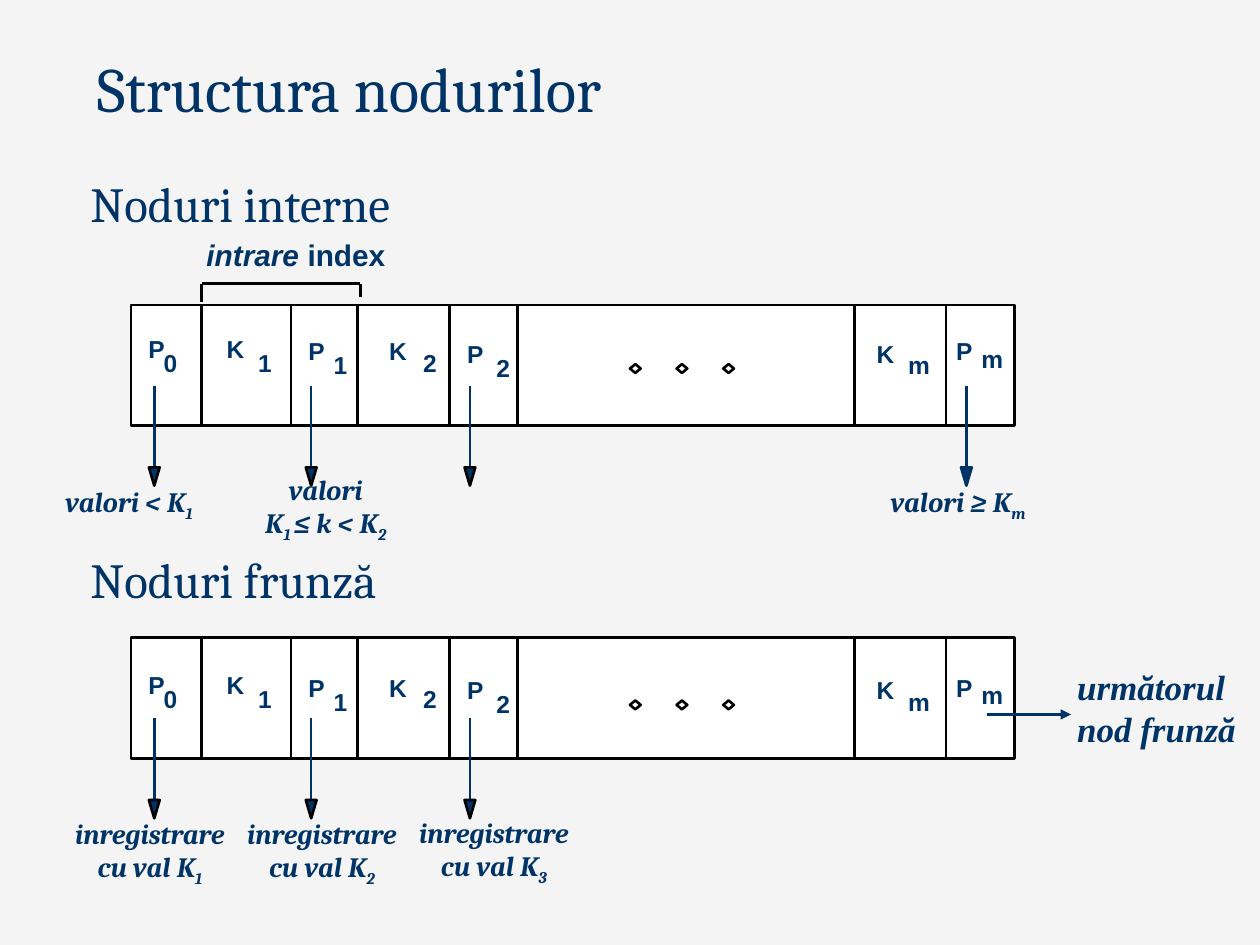
from pptx import Presentation
from pptx.dml.color import RGBColor
from pptx.enum import shapes, text
from pptx.oxml.ns import qn
from pptx.util import Inches, Pt
from lxml import etree

COLORS = {"background": "F4F4F4", "navy": "003366", "black": "000000", "white": "FFFFFF"}

# The slide is a grid of 100 columns by 75 rows; all lengths are in grid units
WIDTH, HEIGHT = Inches(10), Inches(7.5)
COLUMN, ROW = WIDTH / 100, HEIGHT / 75

# Node geometry, relative to the node's top left corner
NODE_SIZE = (70.1, 9.6)
CELLS = [(5.6, 7.1), (18, 7.3), (57.4, 7.3), (25.3, 5.4)]  # left, width
DOTS = [39.6, 43.3, 47]
POINTERS = {"P0": 1.85, "P1": 14.3, "P2": 26.9, "Pm": 66.3}
# letter, left, top, index, left, top
ENTRIES = [
    ("P", 0.4, 1.8, "0", 1.6, 2.9),
    ("K", 6.6, 1.8, "1", 9.1, 2.9),
    ("P", 13.1, 2, "1", 15.1, 3.1),
    ("K", 19.5, 2, "2", 22.2, 2.9),
    ("P", 25.7, 2.2, "2", 28, 3.3),
    ("K", 58.2, 2.2, "m", 60.7, 3.1),
    ("P", 64.5, 2, "m", 66.5, 2.6),
]
LETTER_WIDTH = {"P": 3.3, "K": 3.4, "m": 3.8}


def color(name):
    return RGBColor.from_string(COLORS[name])


def place(left, top, width, height):
    return [round(v) for v in (left * COLUMN, top * ROW, width * COLUMN, height * ROW)]


def add_text(slide, box, pieces, size, font="Cambria", bold=False, italic=False,
             wrap=False, center=False, grow=True):
    """Write pieces as one paragraph; every second piece is a subscript."""
    frame = slide.shapes.add_textbox(*place(*box)).text_frame
    frame.word_wrap = wrap
    if grow:
        frame.auto_size = text.MSO_AUTO_SIZE.SHAPE_TO_FIT_TEXT
    paragraph = frame.paragraphs[0]
    paragraph.text = pieces[0]
    for number, piece in enumerate(pieces[1:], 1):
        run = paragraph.add_run()
        run.text = piece
        if number % 2:
            run.font._element.set("baseline", "-25000")
    for run in paragraph.runs:
        run.font.name, run.font.size = font, Pt(size)
        run.font.bold, run.font.italic = bold, italic
        run.font.color.rgb = color("navy")
    if center:
        paragraph.alignment = text.PP_ALIGN.CENTER
    return frame


def add_shape(slide, kind, box, fill=None, line="black"):
    shape = slide.shapes.add_shape(kind, *place(*box))
    shape.shadow.inherit = False
    if fill:
        shape.fill.solid()
        shape.fill.fore_color.rgb = color(fill)
    else:
        shape.fill.background()
    shape.line.color.rgb, shape.line.width = color(line), Pt(1.5)


def add_line(slide, x1, y1, x2, y2, line="black", arrow=False):
    connector = slide.shapes.add_connector(
        shapes.MSO_CONNECTOR.STRAIGHT, *place(x1, y1, x2, y2))
    connector.line.color.rgb, connector.line.width = color(line), Pt(1.5)
    if arrow:
        etree.SubElement(connector.line._get_or_add_ln(), qn("a:tailEnd"), type="triangle")
    etree.SubElement(connector._element.spPr, qn("a:effectLst"))


def draw_node(slide, left, top, pointers, drop=0):
    """Draw a node with its cells and pointers; drop lowers the cell contents."""
    width, height = NODE_SIZE
    rectangle = shapes.MSO_SHAPE.RECTANGLE
    add_shape(slide, rectangle, (left, top, width, height), "white")
    for x, cell_width in CELLS:
        add_shape(slide, rectangle, (left + x, top, cell_width, height), "white")
    for x in DOTS:
        add_shape(slide, shapes.MSO_SHAPE.DIAMOND,
                  (left + x, top + 4.7 + drop, 0.85, 0.7))

    # Pointers leaving the node
    for pointer in pointers:
        x = left + POINTERS[pointer]
        add_line(slide, x, top + 6.4, x, top + 14.3, "navy")
        add_shape(slide, shapes.MSO_SHAPE.FLOWCHART_MERGE,
                  (x - 0.43, top + 12.9, 0.86, 1.45), "navy",
                  "navy" if pointer == "Pm" else "black")

    # Letters and their indices
    for letter, x, y, index, index_x, index_y in ENTRIES:
        for mark, mark_x, mark_y in ((letter, x, y), (index, index_x, index_y)):
            box = (left + mark_x, top + mark_y + drop, LETTER_WIDTH.get(mark, 3.1), 3.3)
            add_text(slide, box, [mark], 14, "Arial", bold=True)


def draw_internal_nodes(slide, left, top):
    add_text(slide, (left - 4.2, top - 10.9, 89.4, 9.4), ["Noduri interne"], 28,
             wrap=True, grow=False)
    draw_node(slide, left, top, POINTERS)

    # Bracket over one index entry
    start, end, bar = left + 5.6, left + 18.2, top - 1.7
    add_line(slide, start, bar, end, bar)
    add_line(slide, start, bar, start, bar + 1.5)
    add_line(slide, end, bar, end, bar + 1.1)
    caption = add_text(slide, (left + 5, top - 5.9, 16.4, 3.9), ["intrare ", "index"], 17,
                       "Arial", bold=True, italic=True)
    index_run = caption.paragraphs[0].runs[1]
    index_run.font.italic = False
    index_run.font._element.set("baseline", "0")

    # Value ranges under the pointers
    style = {"size": 16, "bold": True, "italic": True}
    add_text(slide, (left + 8.8, top + 12.8, 13.3, 6.4),
             ["valori\vK", "1 ", "≤ k < K", "2"], wrap=True, center=True, **style)
    add_text(slide, (left - 6.2, top + 13.8, 13, 3.7), ["valori < K", "1"], **style)
    add_text(slide, (left + 59.3, top + 13.8, 13.4, 3.7), ["valori ≥ K", "m"], **style)


def draw_leaf_nodes(slide, left, top):
    add_text(slide, (left - 4.2, top - 7.5, 89.4, 9.4), ["Noduri frunză"], 28,
             wrap=True, grow=False)
    draw_node(slide, left, top, ["P0", "P1", "P2"], drop=0.3)

    # Link to the next leaf
    add_line(slide, left + 67.9, top + 6.1, left + 74.6, top + 6.1, "navy", arrow=True)
    add_text(slide, (left + 74.1, top + 1.7, 14.7, 7.7), ["următorul\vnod frunză"], 20,
             "Times New Roman", bold=True, italic=True)

    # Records under the pointers
    for number in range(3):
        add_text(slide, (left - 6 + 13.65 * number, top + (13.6 if number == 2 else 13.7), 15, 6.4),
                 ["inregistrare cu val K", str(number + 1)], 16,
                 bold=True, italic=True, wrap=True, center=True)


def add_line_ends(x1, y1, x2, y2):
    return place(x1, y1, x2, y2)


def main():
    deck = Presentation()
    deck.slide_width, deck.slide_height = WIDTH, HEIGHT
    slide = deck.slides.add_slide(deck.slide_layouts[6])
    slide.background.fill.solid()
    slide.background.fill.fore_color.rgb = color("background")

    title = add_text(slide, (6.7, 3.3, 84, 7.1), ["Structura nodurilor"], 36, wrap=True)
    title.vertical_anchor = text.MSO_ANCHOR.BOTTOM
    draw_internal_nodes(slide, 10.4, 24.2)
    draw_leaf_nodes(slide, 10.4, 50.6)
    deck.save("out.pptx")


if __name__ == "__main__":
    main()
